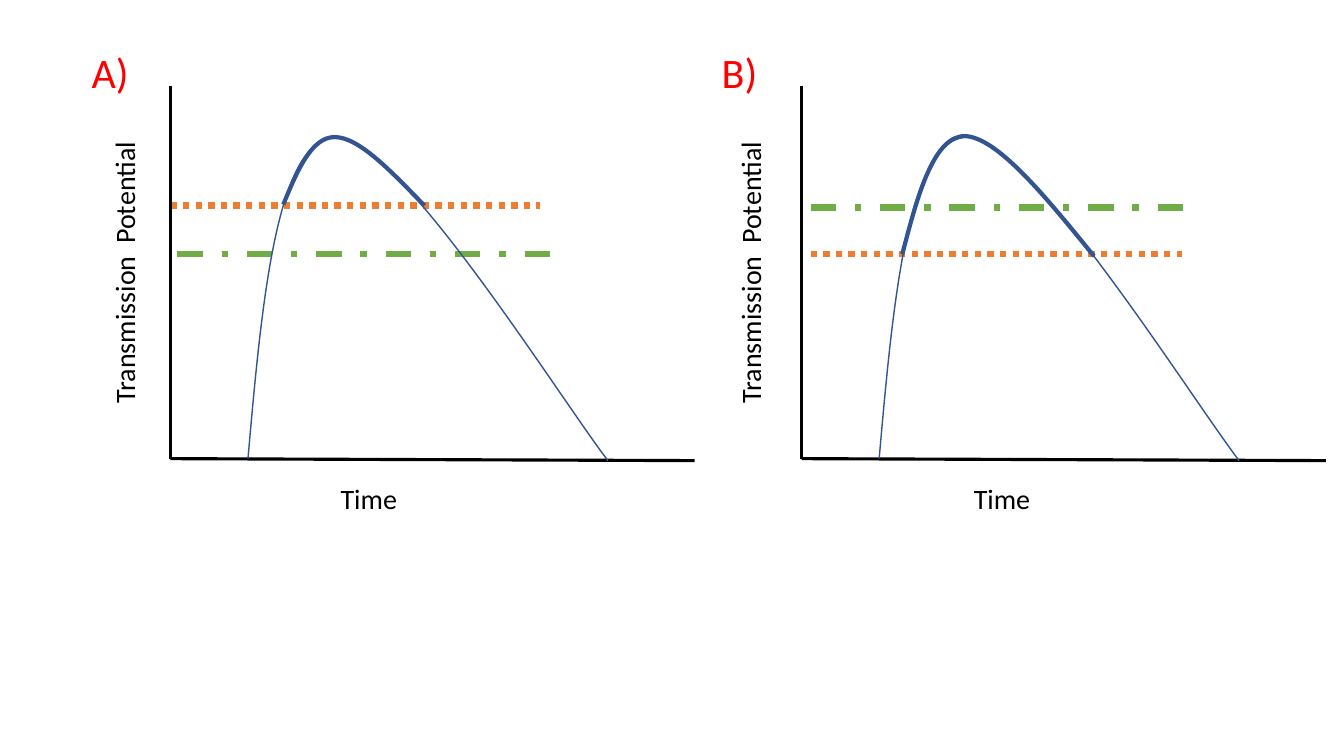
from collections import namedtuple
from dataclasses import dataclass

from lxml.etree import SubElement
from pptx import Presentation
from pptx.dml.color import RGBColor as Color
from pptx.enum.dml import MSO_LINE_DASH_STYLE as Dash
from pptx.enum.shapes import MSO_CONNECTOR as Connector
from pptx.enum.text import MSO_AUTO_SIZE as AutoSize, PP_ALIGN as Align
from pptx.oxml.ns import qn
from pptx.util import Inches, Pt


@dataclass(frozen=True)
class Theme:
    font: str = "Calibri"
    text: str = "000000"
    letter: str = "FF0000"
    curve: str = "325491"
    dotted: str = "ED7D31"
    dashed: str = "70AD47"
    label_size: int = 20
    gap_size: int = 40
    letter_size: int = 30
    axis_width: float = 2.25
    threshold_width: float = 4.5
    thin_curve: float = 1
    thick_curve: float = 3


THEME = Theme()
Box = namedtuple("Box", "left top width height")
# Thresholds are (start, end, height); all measures are relative to the plot box
Panel = namedtuple("Panel", "letter box letter_left time_left label_left "
                            "dotted dashed peak")

CURVE = [(0.77, 3.7), (0.91, 2.1), (1.06, 0.51), (1.65, 0.51),
         (2.25, 0.51), (3.83, 3.05), (4.34, 3.72)]
PANELS = [
    Panel("A)", Box(1.69, 0.85, 5.2, 3.7), -0.88, 1.59, -2.49,
          (0, 3.67, 1.19), (0.07, 3.77, 1.67),
          [(1.12, 1.18), (1.26, 0.84), (1.4, 0.51), (1.63, 0.51),
           (1.87, 0.51), (2.19, 0.85), (2.52, 1.19)]),
    Panel("B)", Box(7.95, 0.85, 5.2, 3.7), -0.89, 1.61, -2.54,
          (0.09, 3.77, 1.67), (0.09, 3.8, 1.21),
          [(1.0, 1.67), (1.15, 1.09), (1.31, 0.5), (1.62, 0.5),
           (1.94, 0.51), (2.42, 1.1), (2.9, 1.69)]),
]


def style_line(line, color, width, dash=None):
    line.color.rgb = Color.from_string(color)
    line.width = Pt(width)
    if dash is not None:
        line.dash_style = dash


def add_line(slide, box, start, end, color, width, dash=None):
    ends = [Inches(origin + offset) for point in (start, end)
            for origin, offset in zip((box.left, box.top), point)]
    connector = slide.shapes.add_connector(Connector.STRAIGHT, *ends)
    style_line(connector.line, color, width, dash)
    SubElement(connector._element.spPr, qn("a:effectLst"))


def add_curve(slide, box, controls, width):
    points = [(Inches(box.left + x), Inches(box.top + y)) for x, y in controls]
    builder = slide.shapes.build_freeform(*points[0])
    builder.add_line_segments(points[1:], close=False)
    shape = builder.convert_to_shape()
    # Turn every three straight segments into one cubic curve
    outline = next(shape._element.iter(qn("a:path")))
    segments = outline.findall(qn("a:lnTo"))
    for first in range(0, len(segments), 3):
        cubic = SubElement(outline, qn("a:cubicBezTo"))
        for segment in segments[first:first + 3]:
            cubic.append(segment[0])
            outline.remove(segment)
    shape.fill.background()
    shape.shadow.inherit = False
    style_line(shape.line, THEME.curve, width)


def add_text(slide, box, place, runs, color, align=None, wrap=True, rotation=0):
    left, top, width, height = place
    shape = slide.shapes.add_textbox(Inches(box.left + left), Inches(box.top + top),
                                     Inches(width), Inches(height))
    shape.rotation = rotation
    frame = shape.text_frame
    frame.word_wrap = wrap
    frame.auto_size = AutoSize.SHAPE_TO_FIT_TEXT
    paragraph = frame.paragraphs[0]
    paragraph.alignment = align
    for text, size in runs:
        run = paragraph.add_run()
        run.text = text
        for name, value in {"name": THEME.font, "size": Pt(size)}.items():
            setattr(run.font, name, value)
        run.font.color.rgb = Color.from_string(color)


def add_plot(slide, panel):
    box = panel.box
    # Thresholds
    for (start, end, height), color, dash in (
            (panel.dotted, THEME.dotted, Dash.ROUND_DOT),
            (panel.dashed, THEME.dashed, Dash.DASH_DOT)):
        add_line(slide, box, (start, height), (end, height),
                 color, THEME.threshold_width, dash)
    # Axes, the horizontal one slightly sloped
    corner = (0, box.height)
    add_line(slide, box, (0, 0), corner, THEME.text, THEME.axis_width)
    add_line(slide, box, corner, (box.width, box.height + 0.02),
             THEME.text, THEME.axis_width)
    # Whole curve
    add_curve(slide, box, CURVE, THEME.thin_curve)
    # Axis titles
    size = THEME.label_size
    add_text(slide, box, (panel.time_left, 3.88, 2.3, 0.44),
             [("Time", size)], THEME.text)
    add_text(slide, box, (panel.label_left, 1.47, 3.84, 0.77),
             [("Transmission", size), (" ", THEME.gap_size), ("Potential", size)],
             THEME.text, align=Align.CENTER, rotation=270)


def add_letter(slide, panel):
    add_text(slide, panel.box, (panel.letter_left, -0.44, 0.57, 0.61),
             [(panel.letter, THEME.letter_size)], THEME.letter, wrap=False)


def add_peak(slide, panel):
    """The part of the curve above the dotted threshold."""
    add_curve(slide, panel.box, panel.peak, THEME.thick_curve)


presentation = Presentation()
presentation.slide_width = Inches(13.33)
presentation.slide_height = Inches(7.5)
slide = presentation.slides.add_slide(presentation.slide_layouts[6])
for add_part in (add_plot, add_letter, add_peak):
    for panel in PANELS:
        add_part(slide, panel)
presentation.save("out.pptx")
